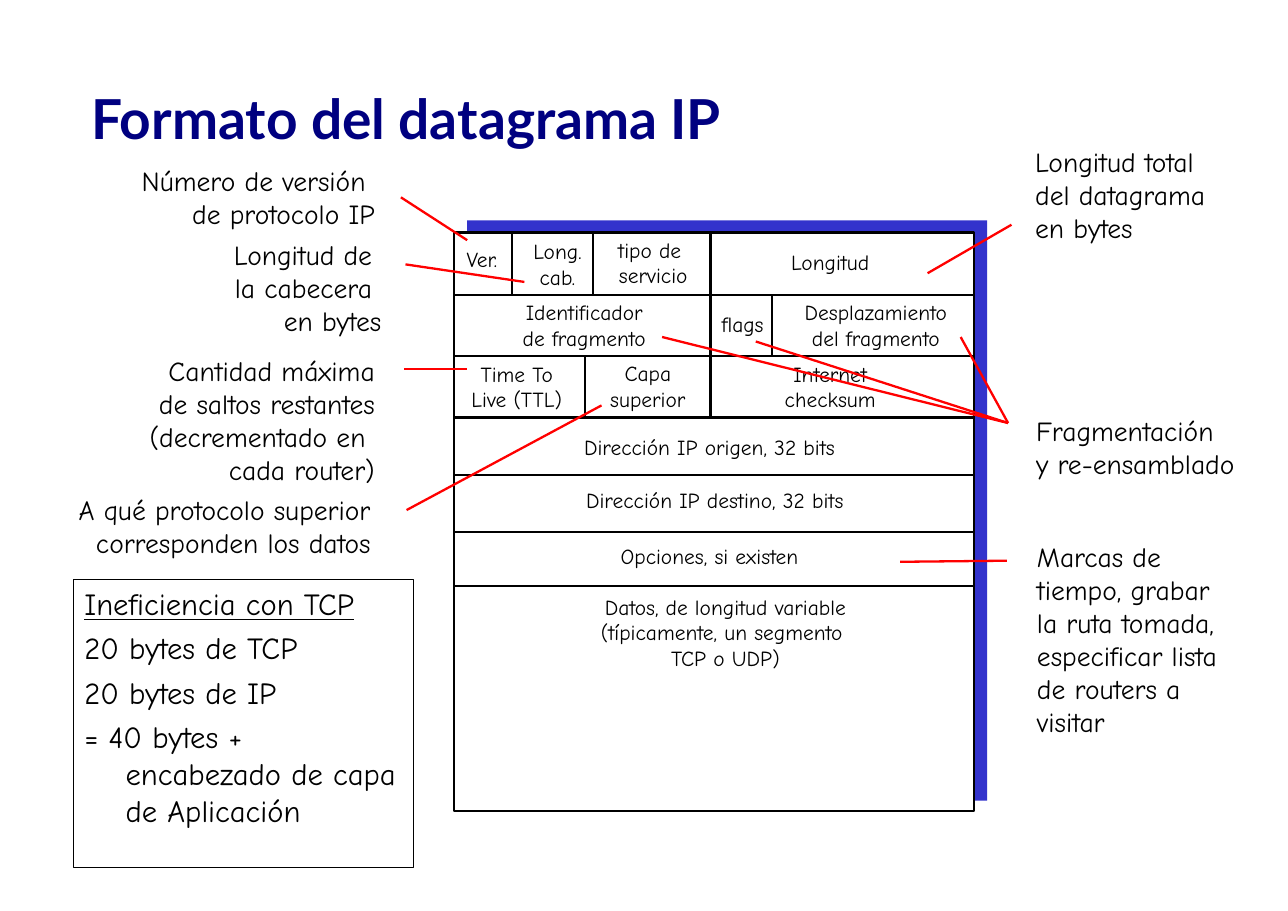
from dataclasses import dataclass

from pptx import Presentation
from pptx.dml.color import RGBColor
from pptx.enum.shapes import MSO_CONNECTOR, MSO_SHAPE
from pptx.enum.text import MSO_ANCHOR, MSO_AUTO_SIZE, PP_ALIGN
from pptx.oxml.ns import qn
from pptx.util import Pt
from lxml.etree import SubElement


@dataclass(frozen=True)
class Theme:
    navy: str = "000080"
    blue: str = "3333CC"
    red: str = "FF0000"
    black: str = "000000"
    white: str = "FFFFFF"
    head: str = "Lato"
    body: str = "Comic Neue"
    title: int = 36
    box: int = 20
    note: int = 18
    field: int = 14
    rule: float = 1.5
    thin: float = 0.75


THEME = Theme()
LEFT, TOP, WIDTH, HEIGHT = 296.6, 152, 339.8, 378
ROWS = [193, 232.8, 273, 310.4, 347.8, 383]
SPLITS = [
    (334.8, TOP, 193), (387.4, TOP, 193), (464.4, TOP, 273),
    (504.7, 193, 232.8), (382.3, 232.8, 273),
]
FIELDS = [
    (296.6, 157, 36.7, "Ver."),
    (341.3, 152, 46, "Long.\ncab."),
    (396.7, 151.2, 60.5, "tipo de \nservicio"),
    (509.8, 159, 65.5, "Longitud"),
    (289.4, 191.9, 185, "Identificador\nde fragmento"),
    (452.2, 199.6, 66.2, "flags"),
    (508.3, 191.9, 128.2, "Desplazamiento\ndel fragmento"),
    (301, 232.2, 73.4, "Time To\nLive (TTL)"),
    (383.4, 231.8, 80, "Capa\vsuperior"),
    (503.3, 232.2, 78.5, "Internet\nchecksum"),
    (374.4, 280, 178.6, "Dirección IP origen, 32 bits"),
    (375.8, 314.6, 182.9, "Dirección IP destino, 32 bits"),
    (398.2, 351.4, 131, "Opciones, si existen"),
    (385.2, 384.5, 177.8, "Datos, de longitud variable\n(típicamente, un segmento \nTCP o UDP)"),
]
CAUSES = [
    (85, 103.4, 167, "Número de versión \nde protocolo IP"),
    (145.4, 152, 110.9, "Longitud de \vla cabecera \nen bytes"),
    (90, 227.8, 162, "Cantidad máxima\nde saltos restantes\n(decrementado en \ncada router)"),
    (43.2, 318.6, 206, "A qué protocolo superior\vcorresponden los datos"),
]
NOTES = [
    (669.4, 90.9, 126, "Longitud total\vdel datagrama\ven bytes"),
    (670, 267.1, 144, "Fragmentación\vy re-ensamblado"),
    (670.6, 349.4, 132.5, "Marcas de \vtiempo, grabar\vla ruta tomada,\nespecificar lista\vde routers a \vvisitar"),
]
LINKS = [
    (262, 129, 305.3, 157), (265, 172.8, 342.7, 184.3),
    (264.2, 241.2, 305.3, 241.2), (265.7, 333.4, 393.1, 265),
    (661, 146.9, 606.2, 178.6), (658.8, 276.5, 493.9, 223.2),
    (658.8, 276.5, 627.8, 220.3), (658.8, 276.5, 432.7, 220.3),
    (658, 366.5, 588.2, 367.2),
]
COSTS = "Ineficiencia con TCP\n20 bytes de TCP\n20 bytes de IP\n= 40 bytes + encabezado de capa de Aplicación"


def color(code):
    return RGBColor.from_string(code)


def style(para, size, face=THEME.body, tint=THEME.black, bold=False):
    font = para.font
    font.name, font.size, font.bold = face, Pt(size), bold
    font.color.rgb = color(tint)


def add_label(slide, spot, size, align):
    left, top, width, text = spot
    lines = 1 + text.count("\n") + text.count("\v")
    height = round(7.2 + 1.16 * size * lines, 1)
    frame = slide.shapes.add_textbox(Pt(left), Pt(top), Pt(width), Pt(height)).text_frame
    frame.word_wrap = False
    frame.auto_size = MSO_AUTO_SIZE.SHAPE_TO_FIT_TEXT
    frame.text = text
    for para in frame.paragraphs:
        para.alignment = align
        style(para, size)


def add_rect(slide, left, top, width, height, fill=None, edge=None):
    rect = slide.shapes.add_shape(
        MSO_SHAPE.RECTANGLE, Pt(left), Pt(top), Pt(width), Pt(height))
    rect.shadow.inherit = False
    if fill:
        rect.fill.solid()
        rect.fill.fore_color.rgb = color(fill)
    else:
        rect.fill.background()
    if edge:
        rect.line.color.rgb = color(THEME.black)
        rect.line.width = Pt(edge)
    else:
        rect.line.fill.background()
    return rect


def add_line(slide, ends, tint):
    line = slide.shapes.add_connector(MSO_CONNECTOR.STRAIGHT, *map(Pt, ends))
    line.line.color.rgb = color(tint)
    line.line.width = Pt(THEME.rule)
    SubElement(line._element.spPr, qn("a:effectLst"))


def add_title(slide, text):
    frame = slide.shapes.add_textbox(Pt(52.6), Pt(28.4), Pt(761), Pt(97.2)).text_frame
    frame.word_wrap = True
    frame.vertical_anchor = MSO_ANCHOR.MIDDLE
    frame.text = text
    style(frame.paragraphs[0], THEME.title, THEME.head, THEME.navy, True)


def add_costs(slide):
    frame = add_rect(slide, 48, 378.7, 222.5, 188.6, edge=THEME.thin).text_frame
    frame.word_wrap = True
    frame.vertical_anchor = MSO_ANCHOR.TOP
    frame.text = COSTS
    for place, para in enumerate(frame.paragraphs):
        props = para._p.get_or_add_pPr()
        props.set("marL", str(Pt(27)))
        props.set("indent", str(Pt(-27)))
        para.alignment = PP_ALIGN.LEFT
        if place:
            para.space_before = Pt(5)
        style(para, THEME.box)
    frame.paragraphs[0].font.underline = True


def main():
    deck = Presentation()
    deck.slide_width, deck.slide_height = Pt(841.68), Pt(595.44)
    slide = deck.slides.add_slide(deck.slide_layouts[6])
    add_title(slide, "Formato del datagrama IP")
    add_rect(slide, 305.3, 144, WIDTH, 379.4, THEME.blue)
    add_rect(slide, LEFT, TOP, WIDTH, HEIGHT, THEME.white, THEME.rule)
    for y in ROWS:
        add_line(slide, (LEFT, y, LEFT + WIDTH, y), THEME.black)
    for x, top, base in SPLITS:
        add_line(slide, (x, top, x, base), THEME.black)
    groups = [
        (FIELDS, THEME.field, PP_ALIGN.CENTER),
        (CAUSES, THEME.note, PP_ALIGN.RIGHT),
        (NOTES, THEME.note, PP_ALIGN.LEFT),
    ]
    for spots, size, align in groups:
        for spot in spots:
            add_label(slide, spot, size, align)
    for ends in LINKS:
        add_line(slide, ends, THEME.red)
    add_costs(slide)
    deck.save("out.pptx")


if __name__ == "__main__":
    main()
